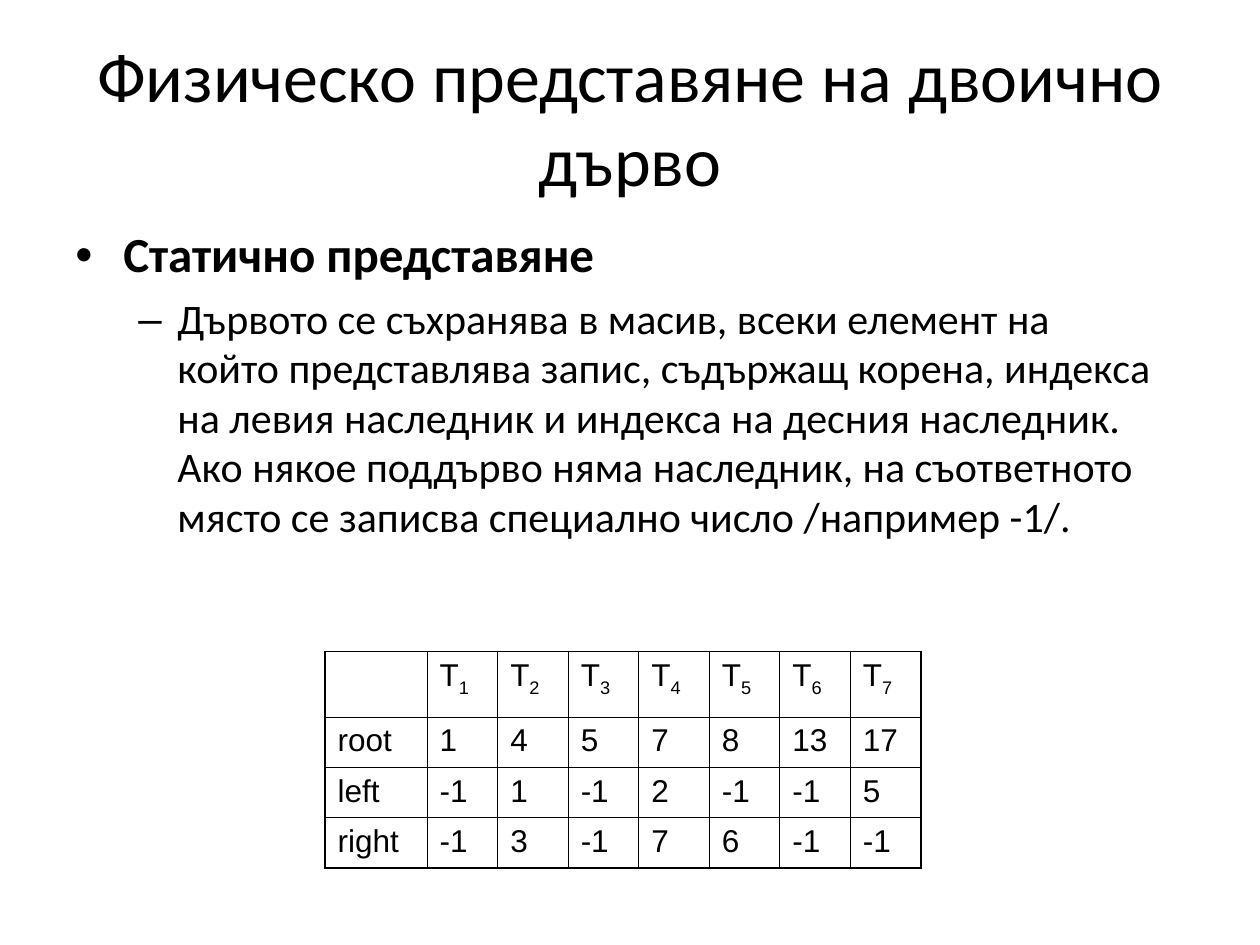
from dataclasses import dataclass

from lxml.etree import SubElement
from pptx import Presentation
from pptx.dml.color import RGBColor
from pptx.enum.text import MSO_ANCHOR, PP_ALIGN
from pptx.oxml.ns import qn
from pptx.util import Inches, Pt


@dataclass(frozen=True)
class Theme:
    ink: str = "000000"
    text_font: str = "Calibri"
    table_font: str = "Arial"
    title_size: int = 40
    heading_size: int = 28
    detail_size: int = 24
    table_size: int = 18
    outer_border: float = 1.08
    inner_border: float = 0.45


THEME = Theme()
TITLE = "Физическо представяне на двоично дърво"
HEADING = "Статично представяне"
DETAIL = (
    "Дървото се съхранява в масив, всеки елемент на който представлява запис, "
    "съдържащ корена, индекса на левия наследник и индекса на десния наследник. "
    "Ако някое поддърво няма наследник, на съответното място се записва "
    "специално число /например -1/."
)
NODE_FIELDS = {
    "root": (1, 4, 5, 7, 8, 13, 17),
    "left": (-1, 1, -1, 2, -1, -1, 5),
    "right": (-1, 3, -1, 7, 6, -1, -1),
}
NODE_COUNT = 7


def add_run(paragraph, text, font, size, bold=False, baseline=None):
    run = paragraph.add_run()
    run.text = text
    run.font.name = font
    run.font.size = Pt(size)
    run.font.bold = bold
    run.font.color.rgb = RGBColor.from_string(THEME.ink)
    if baseline is not None:
        run.font._element.set("baseline", str(baseline * 1000))


def add_text_frame(slide, left, top, width, height, anchor):
    box = slide.shapes.add_textbox(
        Inches(left), Inches(top), Inches(width), Inches(height)
    )
    frame = box.text_frame
    frame.word_wrap = True
    frame.vertical_anchor = anchor
    return frame


def add_title(slide):
    frame = add_text_frame(slide, 0.5, 0.3, 9, 1.25, MSO_ANCHOR.MIDDLE)
    title = frame.paragraphs[0]
    title.alignment = PP_ALIGN.CENTER
    add_run(title, TITLE, THEME.text_font, THEME.title_size)


def set_bullet(paragraph, symbol, margin, hanging):
    properties = paragraph._p.get_or_add_pPr()
    properties.set("marL", str(Inches(margin)))
    properties.set("indent", str(-Inches(hanging)))
    colour = SubElement(properties, qn("a:buClr"))
    SubElement(colour, qn("a:srgbClr"), val=THEME.ink)
    SubElement(properties, qn("a:buFont"), typeface=THEME.table_font)
    SubElement(properties, qn("a:buChar"), char=symbol)


def add_explanation(slide):
    frame = add_text_frame(slide, 0.5, 1.75, 8.75, 3.08, MSO_ANCHOR.TOP)
    heading = frame.paragraphs[0]
    detail = frame.add_paragraph()
    detail.level = 1
    for paragraph, space in ((heading, 7), (detail, 6)):
        paragraph.line_spacing = 0.98
        paragraph.space_before = Pt(space)
    set_bullet(heading, "•", 0.38, 0.38)
    set_bullet(detail, "–", 0.81, 0.31)
    add_run(heading, HEADING, THEME.text_font, THEME.heading_size, bold=True)
    add_run(detail, DETAIL, THEME.text_font, THEME.detail_size)


def set_borders(cell, outer_sides):
    properties = cell._tc.get_or_add_tcPr()
    for side, is_outer in outer_sides.items():
        width = THEME.outer_border if is_outer else THEME.inner_border
        line = SubElement(properties, qn(f"a:ln{side}"), w=str(Pt(width)))
        fill = SubElement(line, qn("a:solidFill"))
        SubElement(fill, qn("a:srgbClr"), val=THEME.ink)


def write_cell(cell, text, subscript=""):
    paragraph = cell.text_frame.paragraphs[0]
    paragraph.space_before = Pt(4.5)
    if text:
        add_run(paragraph, text, THEME.table_font, THEME.table_size)
    if subscript:
        add_run(paragraph, subscript, THEME.table_font, THEME.table_size, baseline=-25)


def add_node_table(slide):
    header = [("",)] + [("T", str(node)) for node in range(1, NODE_COUNT + 1)]
    records = [
        [(name,)] + [(str(value),) for value in values]
        for name, values in NODE_FIELDS.items()
    ]
    rows = [header] + records
    last_row, last_column = len(rows) - 1, NODE_COUNT
    table = slide.shapes.add_table(
        len(rows), NODE_COUNT + 1,
        Inches(2.58), Inches(5.17), Inches(4.75), Inches(1.73),
    ).table
    table.first_row = False
    table.horz_banding = False
    for index, column in enumerate(table.columns):
        column.width = Inches(0.56 if index else 0.81)
    for index, row in enumerate(table.rows):
        row.height = Inches(0.4 if index else 0.52)
    for r, contents in enumerate(rows):
        for c, content in enumerate(contents):
            cell = table.cell(r, c)
            write_cell(cell, *content)
            set_borders(cell, {
                "L": c == 0, "R": c == last_column,
                "T": r == 0, "B": r == last_row,
            })
            cell.fill.background()


def main():
    presentation = Presentation()
    presentation.slide_width = Inches(10)
    presentation.slide_height = Inches(7.5)
    slide = presentation.slides.add_slide(presentation.slide_layouts[6])
    add_title(slide)
    add_explanation(slide)
    add_node_table(slide)
    presentation.save("out.pptx")


if __name__ == "__main__":
    main()
